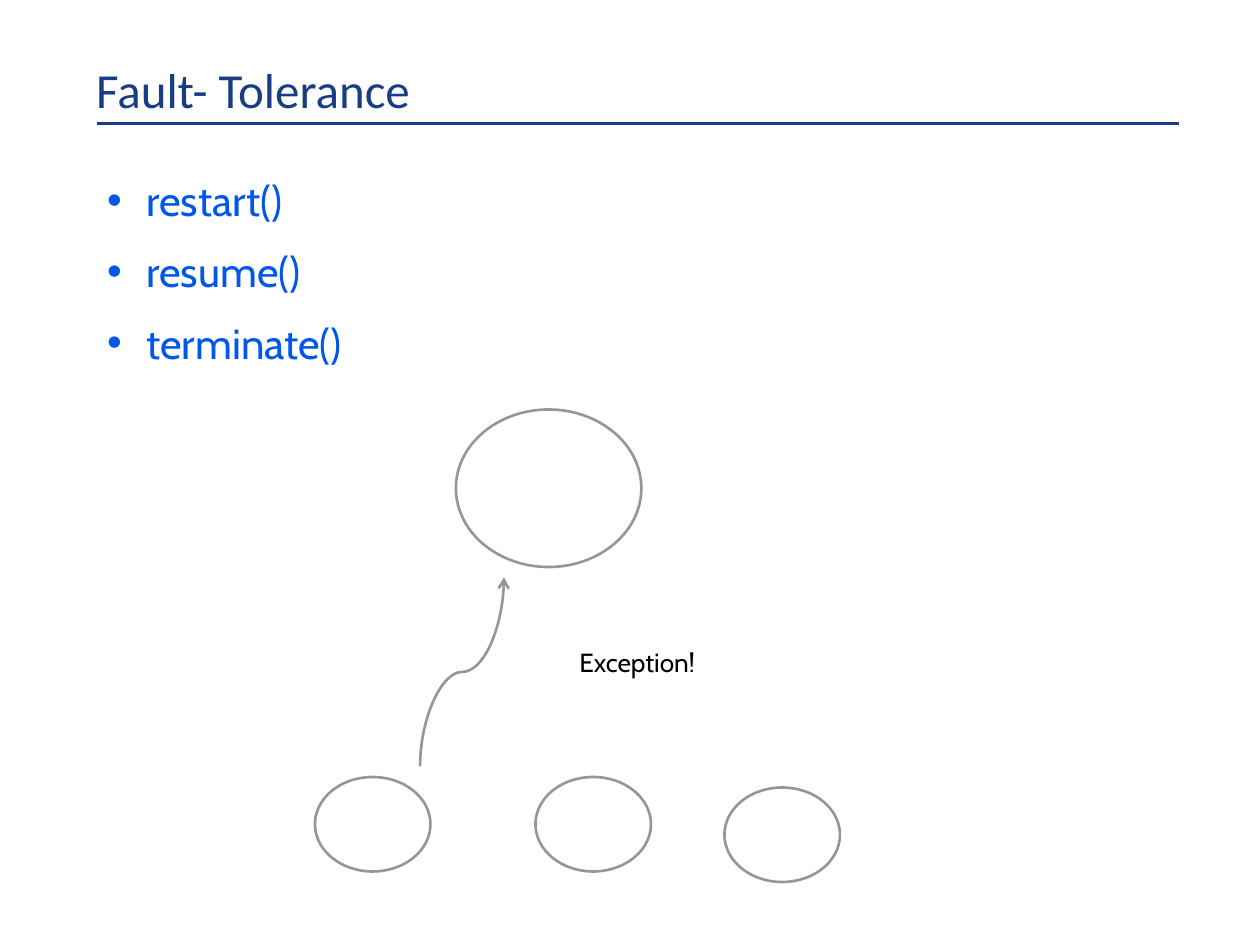
from dataclasses import dataclass
from typing import Any, NamedTuple

from lxml.etree import SubElement
from pptx import Presentation
from pptx.dml.color import RGBColor as RGB
from pptx.enum.shapes import MSO_CONNECTOR as Conn, MSO_SHAPE as Geo
from pptx.enum.text import MSO_ANCHOR as Anchor, MSO_AUTO_SIZE as Fit, PP_ALIGN as Align
from pptx.oxml.ns import qn
from pptx.util import Pt


@dataclass(frozen=True)
class Theme:
    navy: RGB = RGB(0x19, 0x3D, 0x85)
    blue: RGB = RGB(0x00, 0x58, 0xE9)
    gray: RGB = RGB(0x96, 0x96, 0x96)
    black: RGB = RGB(0, 0, 0)
    head_font: str = "Calibri"
    body_font: str = "Cabin"
    title_size: float = 28
    list_size: float = 24
    label_size: float = 15
    rule_width: float = 2
    line_width: float = 1.5


class Box(NamedTuple):
    x: float
    y: float
    w: float
    h: float


T = Theme()
CHILD_W, CHILD_H = 66, 54
SUPERVISOR = Box(260.5, 234, 106, 90)
CHILDREN = [Box(x, y, CHILD_W, CHILD_H) for x, y in ((180, 444), (306, 444), (414, 450))]


def place(s: Any, box: Box) -> None:
    s.left, s.top, s.width, s.height = map(Pt, box)


def write(s: Any, *lines: str, font: str, size: float, color: RGB,
          anchor: Anchor = Anchor.TOP, inset: tuple[float, float] = (7.2, 3.6),
          spacing: float = 1, before: float = 0, indent: float = 0) -> None:
    tf = s.text_frame
    tf.word_wrap, tf.auto_size, tf.vertical_anchor = True, Fit.NONE, anchor
    tf.margin_left = tf.margin_right = Pt(inset[0])
    tf.margin_top = tf.margin_bottom = Pt(inset[1])
    for i, line in enumerate(lines):
        p = tf.paragraphs[0] if i == 0 else tf.add_paragraph()
        p.alignment, p.line_spacing, p.space_before = Align.LEFT, spacing, Pt(before)
        if indent:
            pPr = p._p.get_or_add_pPr()
            pPr.set("marL", str(Pt(indent)))
            pPr.set("indent", str(-Pt(indent)))
            SubElement(pPr, qn("a:buChar"), char="•")
        r = p.add_run()
        r.text = line
        r.font.name, r.font.size, r.font.color.rgb = font, Pt(size), color


def ellipse(shapes: Any, box: Box) -> None:
    s = shapes.add_shape(Geo.OVAL, *map(Pt, box))
    s.shadow.inherit = False
    s.fill.background()
    s.line.color.rgb, s.line.width = T.gray, Pt(T.line_width)


def connect(shapes: Any, kind: Conn, start: tuple[float, float], end: tuple[float, float],
            color: RGB, width: float, turn: int = 0, arrow: bool = False) -> None:
    s = shapes.add_connector(kind, *map(Pt, start + end))
    s.line.color.rgb, s.line.width = color, Pt(width)
    spPr = s._element.spPr
    if turn:
        spPr.find(qn("a:xfrm")).set("rot", str(turn * 60000))
    if arrow:
        SubElement(spPr.find(qn("a:ln")), qn("a:tailEnd"), type="arrow")
    SubElement(spPr, qn("a:effectLst"))


def main() -> None:
    """Build the fault-tolerance slide and save it."""
    prs = Presentation()
    prs.slide_width, prs.slide_height = Pt(720), Pt(540)
    slide = prs.slides.add_slide(prs.slide_layouts[1])
    shapes = slide.shapes
    title, body = slide.placeholders

    connect(shapes, Conn.STRAIGHT, (55.5, 70.6), (674, 70.6), T.navy, T.rule_width)
    place(title, Box(55, 0, 619, 67.5))
    write(title, "Fault- Tolerance", font=T.head_font, size=T.title_size, color=T.navy,
          anchor=Anchor.BOTTOM, inset=(0, 0), spacing=0.85)
    place(body, Box(54, 96, 606, 124))
    write(body, "restart()", "resume()", "terminate()", font=T.body_font,
          size=T.list_size, color=T.blue, before=12, indent=22.5)

    for box in (SUPERVISOR, *CHILDREN):
        ellipse(shapes, box)
    connect(shapes, Conn.CURVE, (318, 408), (210, 360), T.gray, T.line_width,
            turn=90, arrow=True)
    label = shapes.add_textbox(*map(Pt, Box(324, 366, 102, 25)))
    write(label, "Exception!", font=T.body_font, size=T.label_size, color=T.black)
    prs.save("out.pptx")


if __name__ == "__main__":
    main()
